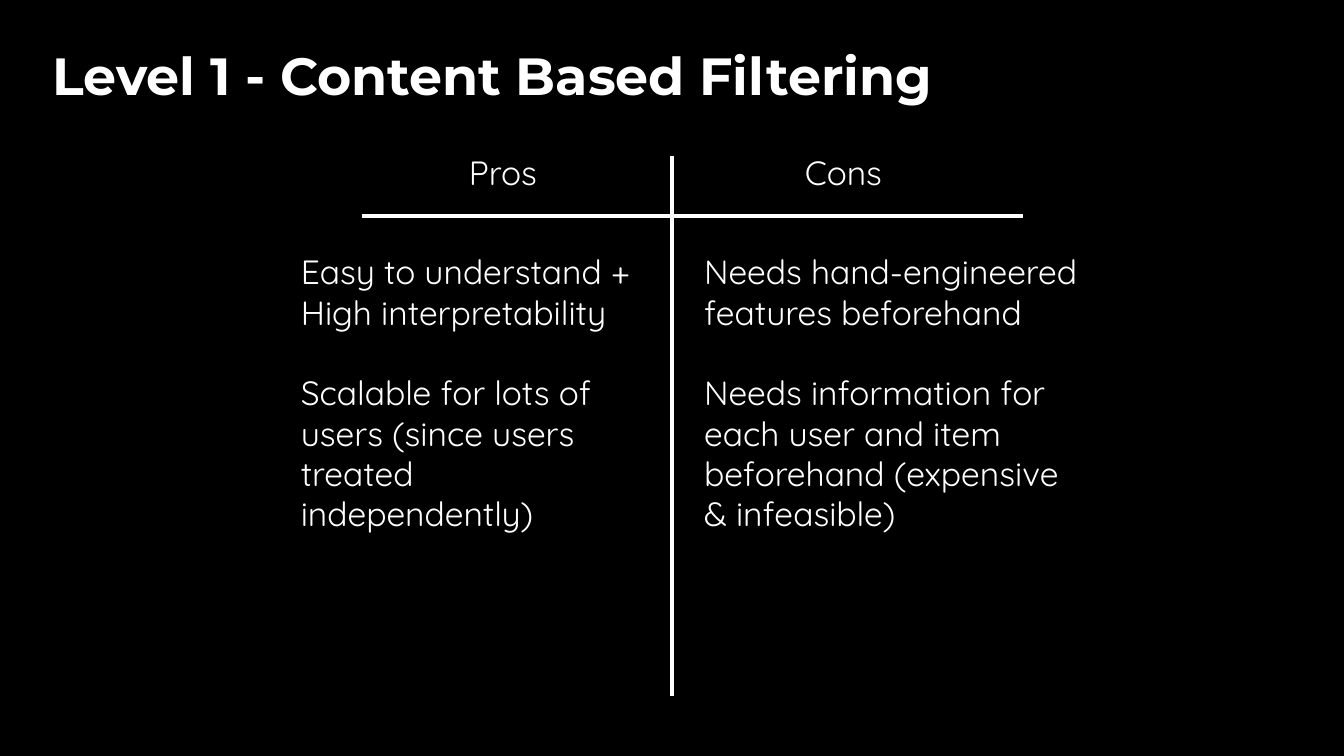
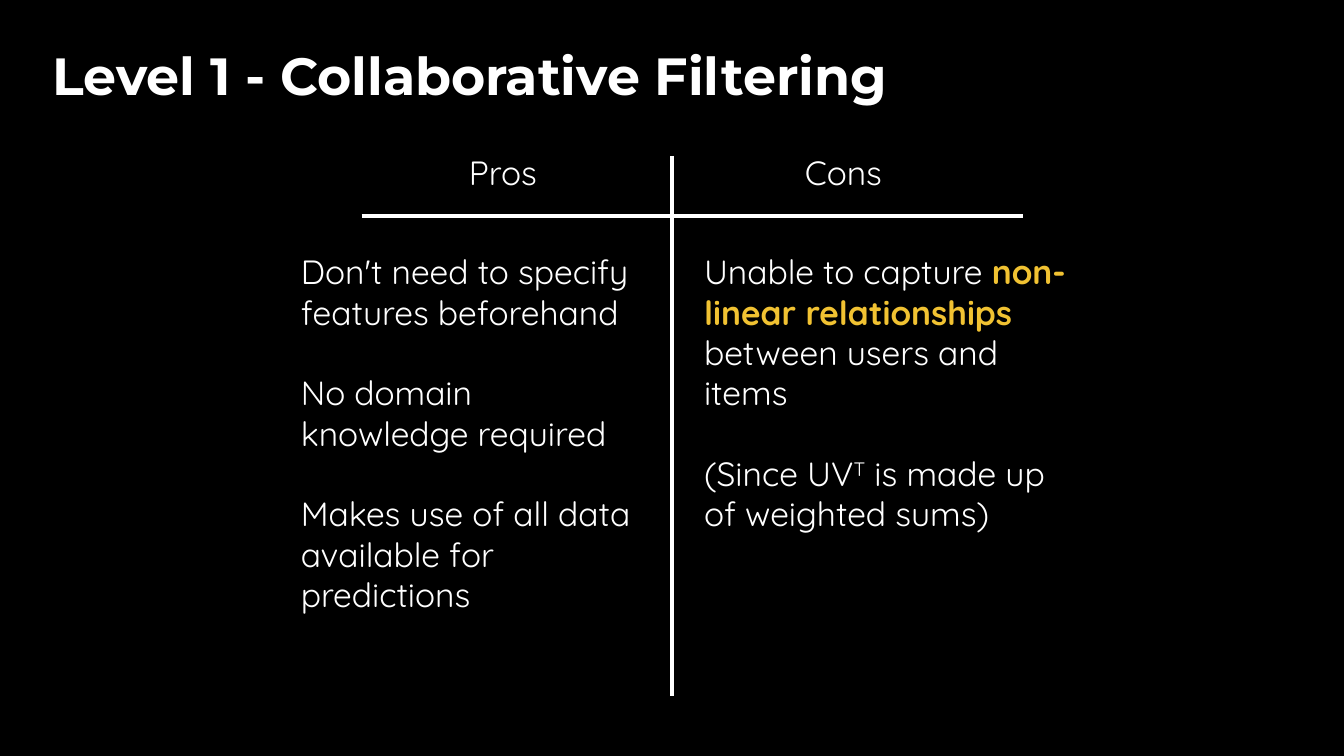
from dataclasses import dataclass

from lxml.etree import SubElement
from pptx import Presentation
from pptx.dml.color import RGBColor
from pptx.enum.shapes import MSO_CONNECTOR as Connector
from pptx.enum.text import MSO_ANCHOR as Anchor, MSO_AUTO_SIZE as AutoSize, PP_ALIGN as Align
from pptx.oxml.ns import qn
from pptx.util import Inches, Pt


@dataclass(frozen=True)
class Theme:
    background: RGBColor = RGBColor(0x00, 0x00, 0x00)
    foreground: RGBColor = RGBColor(0xFF, 0xFF, 0xFF)
    accent: RGBColor = RGBColor(0xF1, 0xC2, 0x32)
    title_font: str = "Montserrat"
    body_font: str = "Quicksand"
    title_size: float = 28
    body_size: float = 18
    paragraph_gap: float = 21.6
    line_width: float = 2.25
    inset: float = 0.1
    grid_columns: int = 100


@dataclass(frozen=True)
class Span:
    text: str
    emphasis: bool = False
    superscript: bool = False


def write_text(frame, paragraphs, *, font, size, color, accent, bold=False, gap=0):
    for index, spans in enumerate(paragraphs):
        paragraph = frame.paragraphs[0] if index == 0 else frame.add_paragraph()
        paragraph.alignment = Align.LEFT
        paragraph.space_before = Pt(gap if index else 0)
        for span in [Span(spans)] if isinstance(spans, str) else spans:
            run = paragraph.add_run()
            run.text = span.text
            run.font.name = font
            run.font.size = Pt(size)
            run.font.bold = bold or span.emphasis
            run.font.color.rgb = accent if span.emphasis else color
            if span.superscript:
                run.font._element.set("baseline", "30000")


class ComparisonDeck:
    def __init__(self, theme):
        self.theme = theme
        self.presentation = Presentation()
        self.presentation.slide_width = Inches(10)
        self.presentation.slide_height = Inches(10 * 9 / 16)
        self.cell = self.presentation.slide_width / theme.grid_columns
        self.layout = self.presentation.slide_layouts.get_by_name("Title Only")
        fill = self.presentation.slide_master.background.fill
        fill.solid()
        fill.fore_color.rgb = theme.background
        self.slide = None

    def grid(self, *cells):
        return [round(cell * self.cell) for cell in cells]

    def prepare_frame(self, shape, auto_size=AutoSize.NONE):
        frame = shape.text_frame
        frame.word_wrap = True
        frame.auto_size = auto_size
        frame.vertical_anchor = Anchor.TOP
        inset = Inches(self.theme.inset)
        frame.margin_left = frame.margin_right = inset
        frame.margin_top = frame.margin_bottom = inset
        return frame

    def add_title(self, text):
        self.slide = self.presentation.slides.add_slide(self.layout)
        title = self.slide.shapes.title
        title.left, title.top, title.width, title.height = self.grid(2.9, 2.2, 85.3, 7.3)
        write_text(self.prepare_frame(title), [text], font=self.theme.title_font,
                   size=self.theme.title_size, color=self.theme.foreground,
                   accent=self.theme.accent, bold=True)

    def add_line(self, *ends):
        connector = self.slide.shapes.add_connector(Connector.STRAIGHT, *self.grid(*ends))
        connector.line.color.rgb = self.theme.foreground
        connector.line.width = Pt(self.theme.line_width)
        SubElement(connector._element.spPr, qn("a:effectLst"))

    def add_text(self, paragraphs, *box, auto_size=AutoSize.NONE):
        shape = self.slide.shapes.add_textbox(*self.grid(*box))
        write_text(self.prepare_frame(shape, auto_size), paragraphs,
                   font=self.theme.body_font, size=self.theme.body_size,
                   color=self.theme.foreground, accent=self.theme.accent,
                   gap=self.theme.paragraph_gap)

    def add_comparison(self, title, pros, cons):
        self.add_title(title)
        self.add_line(50, 11.6, 50, 51.8)
        self.add_line(26.9, 16.1, 76.1, 16.1)
        sides = [("Pros", 33.9, pros, 21.4, 27.6), ("Cons", 58.9, cons, 51.4, 30.2)]
        for heading, heading_left, points, left, width in sides:
            self.add_text([heading], heading_left, 10.3, 8.8, 5,
                          auto_size=AutoSize.SHAPE_TO_FIT_TEXT)
            self.add_text(points, left, 17.7, width, 34.1)


def main():
    deck = ComparisonDeck(Theme())
    deck.add_comparison(
        "Level 1 - Content Based Filtering",
        pros=[
            "Easy to understand + High interpretability",
            "Scalable for lots of users (since users treated independently)",
        ],
        cons=[
            "Needs hand-engineered features beforehand",
            "Needs information for each user and item beforehand (expensive & infeasible)",
        ],
    )
    deck.add_comparison(
        "Level 1 - Collaborative Filtering",
        pros=[
            "Don't need to specify features beforehand",
            "No domain knowledge required",
            "Makes use of all data available for predictions",
        ],
        cons=[
            [Span("Unable to capture "), Span("non-linear relationships ", emphasis=True),
             Span("between users and items")],
            [Span("(Since UV"), Span("T", superscript=True),
             Span(" is made up of weighted sums)")],
        ],
    )
    deck.presentation.save("out.pptx")


if __name__ == "__main__":
    main()
